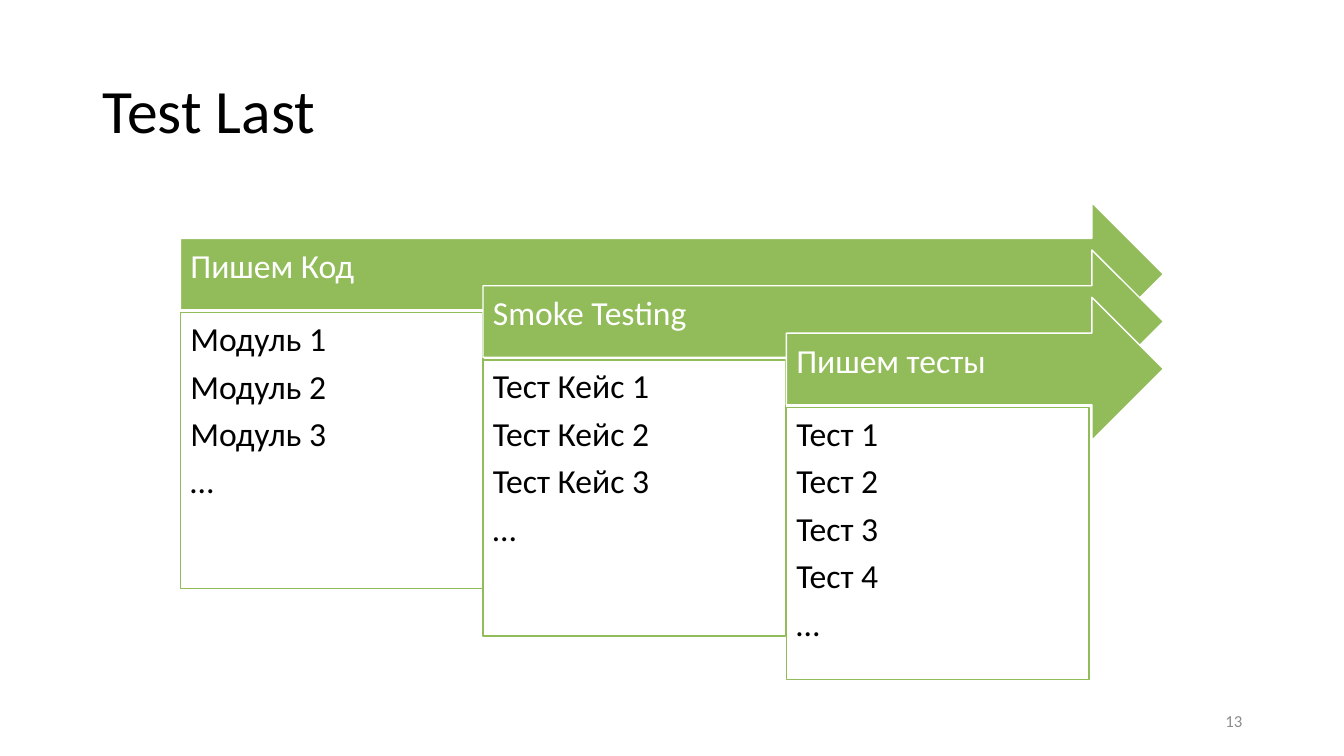
"""Build the Test Last slide: three overlapping stages, each an arrow over a list."""
from dataclasses import dataclass

from pptx import Presentation
from pptx.dml.color import RGBColor
from pptx.enum.shapes import MSO_SHAPE as Kind
from pptx.enum.text import MSO_ANCHOR as Anchor, PP_ALIGN as Align
from pptx.util import Emu, Pt

PX = 9144
FONT = "Calibri"
HUES = {"green": "92BC5A", "white": "FFFFFF", "black": "000000", "gray": "8C8C8C"}

LEFT, TOP, TIP = 179, 201, 1154
WIDE, DROP = 300, 47
HEAD, BODY = 142, 109


@dataclass(frozen=True)
class Box:
    x: int
    y: int
    w: int
    h: int

    def emu(self) -> list[Emu]:
        return [Emu(n * PX) for n in (self.x, self.y, self.w, self.h)]


@dataclass(frozen=True)
class Style:
    size: int
    hue: str
    pads: tuple[int, int, int, int] = (10, 5, 10, 5)
    anchor: Anchor = Anchor.MIDDLE
    align: Align = Align.LEFT
    line: float = 0.9
    after: int = 0


@dataclass(frozen=True)
class Stage:
    name: str
    items: tuple[str, ...]
    tall: int = 274


TITLE = Style(44, "black")
LABEL = Style(24, "white", (10, 10, 28, 23), after=8)
ITEMS = Style(24, "black", (10, 10, 10, 10), Anchor.TOP, after=8)
NUMBER = Style(12, "gray", align=Align.RIGHT, line=1.0)

STAGES = (
    Stage("Пишем Код", ("Модуль 1", "Модуль 2", "Модуль 3", "…")),
    Stage("Smoke Testing", ("Тест Кейс 1", "Тест Кейс 2", "Тест Кейс 3", "…")),
    Stage("Пишем тесты", ("Тест 1", "Тест 2", "Тест 3", "Тест 4", "…"), 270),
)


def color(hue: str) -> RGBColor:
    return RGBColor.from_string(HUES[hue])


def write(shape, lines: tuple[str, ...], style: Style) -> None:
    frame = shape.text_frame
    frame.word_wrap = True
    frame.vertical_anchor = style.anchor
    (frame.margin_left, frame.margin_top,
     frame.margin_right, frame.margin_bottom) = [Emu(n * PX) for n in style.pads]
    frame.text = "\n".join(lines)
    for para in frame.paragraphs:
        para.alignment = style.align
        para.line_spacing = style.line
        para.space_after = Pt(style.after)
        para.font.name = FONT
        para.font.size = Pt(style.size)
        para.font.color.rgb = color(style.hue)


def label(slide, box: Box, text: str, style: Style) -> None:
    write(slide.shapes.add_textbox(*box.emu()), (text,), style)


def panel(slide, kind: Kind, box: Box, fill: str, edge: str,
          lines: tuple[str, ...], style: Style) -> None:
    shape = slide.shapes.add_shape(kind, *box.emu())
    shape.shadow.inherit = False
    shape.fill.solid()
    shape.fill.fore_color.rgb = color(fill)
    shape.line.color.rgb = color(edge)
    shape.line.width = Pt(1)
    write(shape, lines, style)


def draw(slide, index: int, stage: Stage) -> None:
    x = LEFT + index * (2 * WIDE + 1) // 2
    y = TOP + index * DROP
    panel(slide, Kind.RIGHT_ARROW, Box(x, y, TIP - x, HEAD),
          "green", "white", (stage.name,), LABEL)
    panel(slide, Kind.RECTANGLE, Box(x, y + BODY, WIDE, stage.tall),
          "white", "green", stage.items, ITEMS)


def main() -> None:
    deck = Presentation()
    deck.slide_width, deck.slide_height = Emu(1333 * PX), Emu(750 * PX)
    slide = deck.slides.add_slide(deck.slide_layouts[6])
    label(slide, Box(92, 40, 1150, 145), "Test Last", TITLE)
    for index, stage in enumerate(STAGES):
        draw(slide, index, stage)
    label(slide, Box(942, 695, 300, 40), "13", NUMBER)
    deck.save("out.pptx")


if __name__ == "__main__":
    main()
